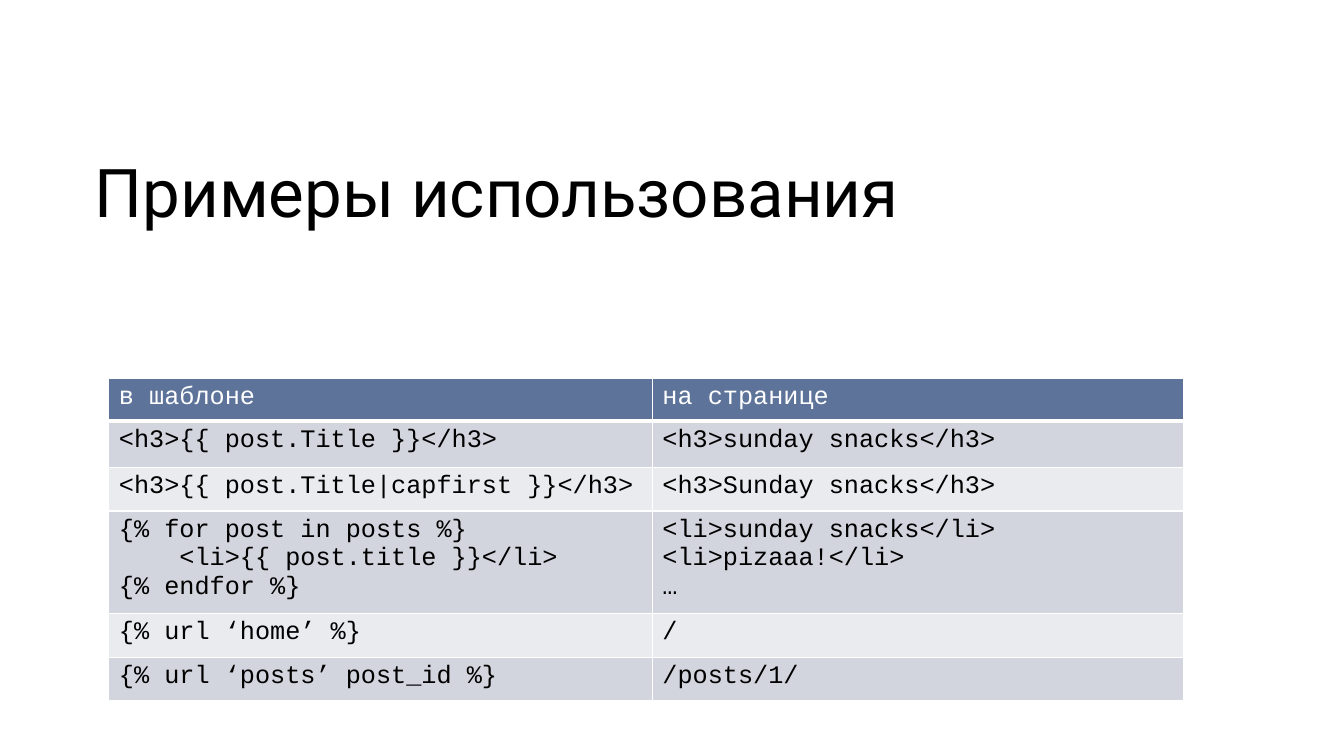
import pptx
import pptx.dml.color
import pptx.enum.text
import pptx.oxml.ns
import pptx.util
from lxml import etree

Inches = pptx.util.Inches
Pt = pptx.util.Pt

COLORS = {
    "ink": "000000",
    "white": "FFFFFF",
    "header": "5D739A",
    "odd_row": "D2D5DE",
    "even_row": "EAEBEF",
}

EXAMPLES = [
    (["в шаблоне"], ["на странице"]),
    (["<h3>{{ post.Title }}</h3>"], ["<h3>sunday snacks</h3>"]),
    (["<h3>{{ post.Title|capfirst }}</h3>"], ["<h3>Sunday snacks</h3>"]),
    (
        ["{% for post in posts %}", "\t<li>{{ post.title }}</li>", "{% endfor %}"],
        ["<li>sunday snacks</li>", "<li>pizaaa!</li>", "…"],
    ),
    (["{% url ‘home’ %}"], ["/"]),
    (["{% url ‘posts’ post_id %}"], ["/posts/1/"]),
]
COLUMN_WIDTHS = [5.39, 5.27]
ROW_HEIGHTS = [0.43, 0.46, 0.43, 1.02, 0.43, 0.43]


class SlideBuilder:
    title_font = "Roboto"
    code_font = "Courier New"
    code_indent = Inches(0.6)

    def __init__(self, deck):
        self.page = deck.slides.add_slide(deck.slide_layouts[5])

    def add_span(self, para, text, font, size, color):
        span = para.add_run()
        span.text = text
        span.font.name = font
        span.font.size = Pt(size)
        span.font.bold = False
        span.font.color.rgb = pptx.dml.color.RGBColor.from_string(COLORS[color])

    def add_title(self, text, left, top, width, height):
        box = self.page.shapes.title
        box.left, box.top = Inches(left), Inches(top)
        box.width, box.height = Inches(width), Inches(height)
        frame = box.text_frame
        frame.word_wrap = True
        frame.auto_size = pptx.enum.text.MSO_AUTO_SIZE.NONE
        frame.vertical_anchor = pptx.enum.text.MSO_ANCHOR.MIDDLE
        frame.margin_left = frame.margin_right = 0
        frame.margin_top = frame.margin_bottom = 0
        para = frame.paragraphs[0]
        para.alignment = pptx.enum.text.PP_ALIGN.LEFT
        para.line_spacing = 0.9
        self.add_span(para, text, self.title_font, 48, "ink")

    def add_borders(self, cell, bottom_width):
        properties = cell._tc.get_or_add_tcPr()
        widths = {"a:lnL": 1, "a:lnR": 1, "a:lnT": 1, "a:lnB": bottom_width}
        for tag, width in widths.items():
            line = etree.SubElement(properties, pptx.oxml.ns.qn(tag), w=str(Pt(width)))
            fill = etree.SubElement(line, pptx.oxml.ns.qn("a:solidFill"))
            etree.SubElement(fill, pptx.oxml.ns.qn("a:srgbClr"), val=COLORS["white"])

    def fill_cell(self, cell, lines, fill, color, bottom_width):
        """Style a cell and write its lines; a leading tab means one indent."""
        self.add_borders(cell, bottom_width)
        cell.fill.solid()
        cell.fill.fore_color.rgb = pptx.dml.color.RGBColor.from_string(COLORS[fill])
        cell.margin_left = cell.margin_right = Inches(0.1)
        cell.margin_top = cell.margin_bottom = Inches(0.05)
        frame = cell.text_frame
        for index, text in enumerate(lines):
            para = frame.add_paragraph() if index else frame.paragraphs[0]
            if text.startswith("\t"):
                para._p.get_or_add_pPr().set("marL", str(self.code_indent))
            self.add_span(para, text.lstrip("\t"), self.code_font, 18, color)

    def add_table(self, rows, left, top, widths, heights):
        table = self.page.shapes.add_table(
            len(rows), len(widths), Inches(left), Inches(top),
            Inches(sum(widths)), Inches(sum(heights)),
        ).table
        for column, width in zip(table.columns, widths):
            column.width = Inches(width)
        for row, height in zip(table.rows, heights):
            row.height = Inches(height)
        for r, cells in enumerate(rows):
            if r == 0:
                style = ("header", "white", 3)
            else:
                style = ("odd_row" if r % 2 else "even_row", "ink", 1)
            for c, lines in enumerate(cells):
                self.fill_cell(table.cell(r, c), lines, *style)


def main():
    deck = pptx.Presentation()
    deck.slide_width = Inches(13.33)
    deck.slide_height = Inches(7.5)
    builder = SlideBuilder(deck)
    builder.add_title("Примеры использования", 0.94, 1.22, 11.5, 1.45)
    builder.add_table(EXAMPLES, 1.08, 3.75, COLUMN_WIDTHS, ROW_HEIGHTS)
    deck.save("out.pptx")


if __name__ == "__main__":
    main()
